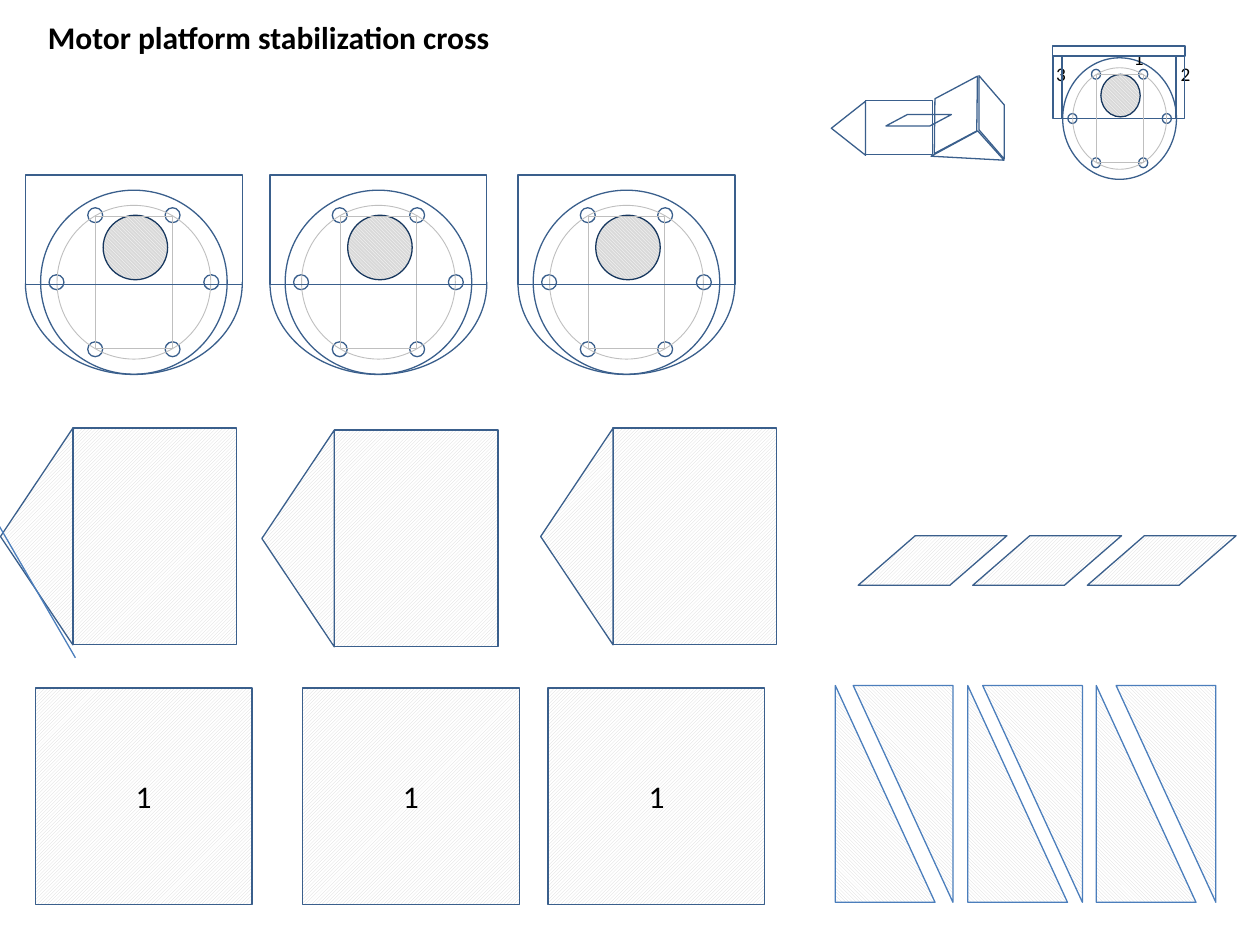
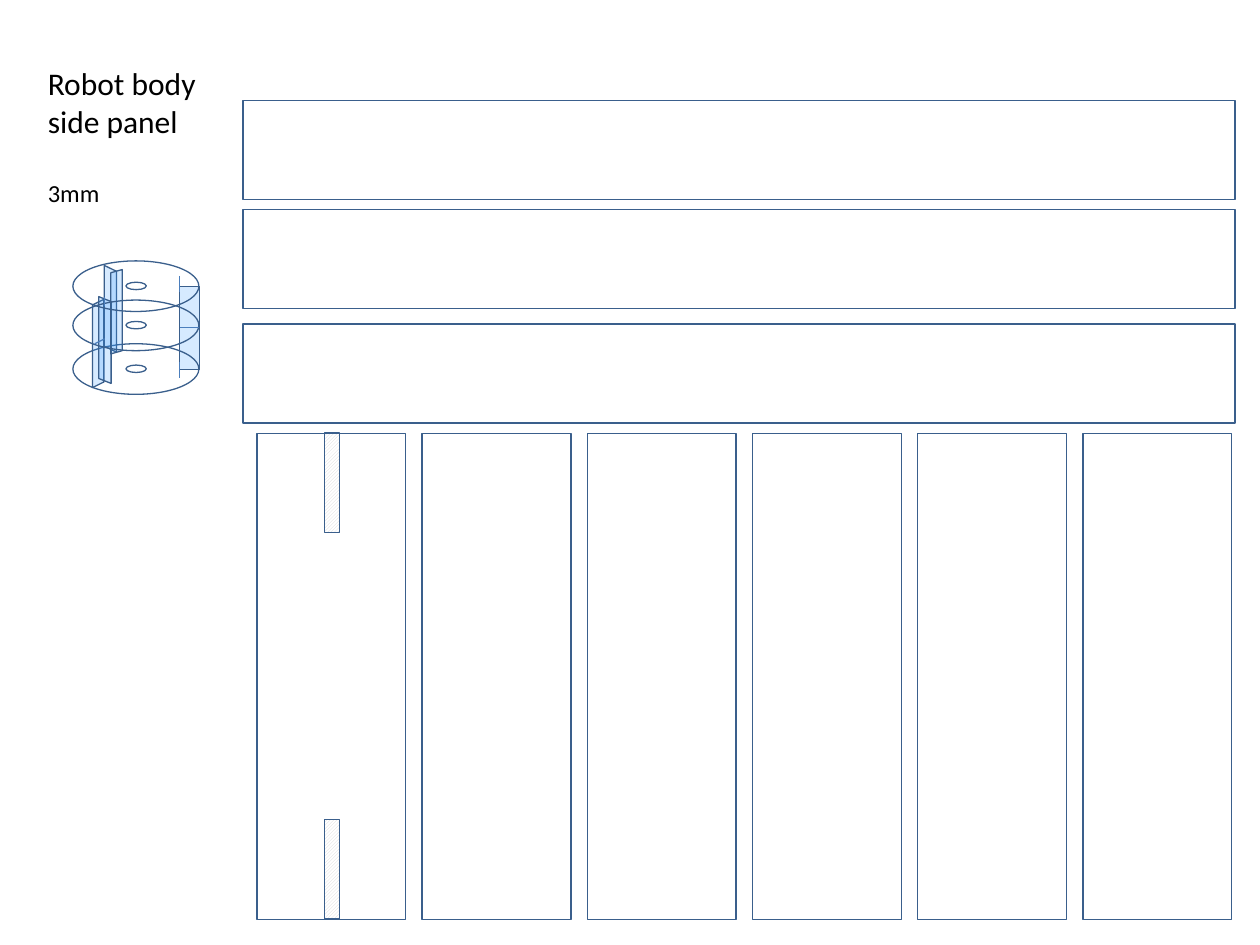
from dataclasses import dataclass, replace
from math import cos, radians, sin
from typing import NamedTuple

from lxml.etree import SubElement
from pptx import Presentation
from pptx.dml.color import RGBColor
from pptx.enum.dml import MSO_PATTERN_TYPE as Pat
from pptx.enum.shapes import MSO_CONNECTOR as Link, MSO_SHAPE as Kind
from pptx.enum.text import MSO_ANCHOR as Anchor, MSO_AUTO_SIZE as Fit, PP_ALIGN as Align
from pptx.oxml.ns import qn
from pptx.util import Cm, Pt

# Shared colours and font
FONT = "Calibri"
INK, EDGE, RULE, RIM, GUIDE = "000000", "3A5F8C", "4B7EBC", "17375E", "BFBFBF"
WHITE, GREY = "FFFFFF", "D9D9D9"


class Hatch(NamedTuple):
    kind: Pat
    fore: str
    back: str


class Tint(NamedTuple):
    tone: str
    alpha: int


UP = Hatch(Pat.LIGHT_UPWARD_DIAGONAL, GREY, WHITE)
DOWN = Hatch(Pat.LIGHT_DOWNWARD_DIAGONAL, GREY, WHITE)
DARK = Hatch(Pat.DARK_DOWNWARD_DIAGONAL, WHITE, GREY)
GLASS = Tint("3399FF", 20)


@dataclass(frozen=True)
class Part:
    """A preset shape; lengths in centimetres."""
    kind: Kind
    x: float
    y: float
    w: float
    h: float
    fill: Hatch | Tint | str | None = None
    line: str = EDGE
    width: float = 0.75
    turn: float = 0
    adj: tuple = ()
    flip: bool = False


# Helpers
def tone(code: str) -> RGBColor:
    return RGBColor.from_string(code)


def paint(shape, fill, line: str, width: float) -> None:
    shape.shadow.inherit = False
    shape.line.color.rgb = tone(line)
    shape.line.width = Pt(width)
    if fill is None:
        shape.fill.background()
    elif isinstance(fill, Hatch):
        shape.fill.patterned()
        shape.fill.pattern = fill.kind
        shape.fill.fore_color.rgb = tone(fill.fore)
        shape.fill.back_color.rgb = tone(fill.back)
    else:
        shape.fill.solid()
        shape.fill.fore_color.rgb = tone(fill.tone if isinstance(fill, Tint) else fill)
        if isinstance(fill, Tint):
            clr = shape.element.spPr.find(qn("a:solidFill"))[0]
            SubElement(clr, qn("a:alpha"), val=str(fill.alpha * 1000))


def draw(slide, part: Part):
    shape = slide.shapes.add_shape(
        part.kind, Cm(part.x), Cm(part.y), Cm(part.w), Cm(part.h))
    for i, value in enumerate(part.adj):
        shape.adjustments[i] = value
    shape.rotation = part.turn
    if part.flip:
        shape.element.spPr.xfrm.set("flipV", "1")
    paint(shape, part.fill, part.line, part.width)
    return shape


def rule(slide, x1: float, y1: float, x2: float, y2: float) -> None:
    line = slide.shapes.add_connector(Link.STRAIGHT, Cm(x1), Cm(y1), Cm(x2), Cm(y2))
    line.line.color.rgb = tone(RULE)
    line.line.width = Pt(0.75)
    SubElement(line.element.spPr, qn("a:effectLst"))


def write(shape, text: str, size: float = 18, bold: bool = False, align=Align.LEFT,
          anchor=Anchor.TOP, wrap: bool = True, more: bool = False, before: float = 0) -> None:
    frame = shape.text_frame
    frame.word_wrap = wrap
    frame.auto_size = Fit.NONE
    frame.vertical_anchor = anchor
    para = frame.add_paragraph() if more else frame.paragraphs[0]
    para.alignment = align
    para.space_before = Pt(before)
    run = para.add_run()
    run.text = text
    run.font.name = FONT
    run.font.size = Pt(size)
    run.font.bold = bold
    run.font.color.rgb = tone(INK)


def start(prs, x: float, y: float, w: float, h: float):
    """Add a title-only slide and place its title."""
    slide = prs.slides.add_slide(prs.slide_layouts[5])
    title = slide.shapes.title
    title.left, title.top, title.width, title.height = Cm(x), Cm(y), Cm(w), Cm(h)
    return slide, title


# Motor face: offsets from its centre, scaled to fit
def motor(slide, cx: float, cy: float, sx: float = 1, sy: float = 1) -> None:
    def place(kind, dx, dy, w, h, **look):
        draw(slide, Part(kind, cx + (dx - w / 2) * sx, cy + (dy - h / 2) * sy,
                         w * sx, h * sy, **look))

    place(Kind.OVAL, 0, 0, 3.76, 3.71)
    for angle in range(0, 360, 60):
        place(Kind.OVAL, 1.56 * cos(radians(angle)), 1.56 * sin(radians(angle)), 0.3, 0.3)
    place(Kind.OVAL, 0.03, -0.7, 1.3, 1.3, fill=DARK, line=RIM)
    place(Kind.OVAL, 0, 0, 3.1, 3.1, line=GUIDE, width=0.5)
    place(Kind.RECTANGLE, 0, 0, 1.55, 2.67, line=GUIDE, width=0.5)


def plate(slide, x: float, y: float, w: float, h: float) -> None:
    draw(slide, Part(Kind.SNIP_2_SAME_RECTANGLE, x, y, w, h, adj=(0, 0)))


# Sketch of the whole cross, seen at an angle
def sketch(slide) -> None:
    para = Kind.PARALLELOGRAM
    draw(slide, Part(para, 18.52, 1.83, 1.5, 0.97, turn=332, adj=(0.547,)))
    draw(slide, Part(para, 19.15, 2.11, 1.68, 0.51, turn=270, adj=(1.155,)))
    pen = slide.shapes.build_freeform(Cm(20.24), Cm(3.23))
    pen.add_line_segments([(Cm(19.71), Cm(2.64)), (Cm(18.77), Cm(3.15))], close=True)
    paint(pen.convert_to_shape(), None, EDGE, 0.75)
    draw(slide, Part(para, 17.86, 2.31, 1.32, 0.23, adj=(1.881,)))
    draw(slide, Part(Kind.RECTANGLE, 17.45, 2.03, 1.35, 1.09))
    draw(slide, Part(Kind.TRAPEZOID, 16.56, 2.24, 1.09, 0.69, turn=270, adj=(0.805,)))


# Small motor with its numbered walls
def guide(slide) -> None:
    plate(slide, 21.41, 0.94, 2.31, 1.45)
    motor(slide, 22.57, 2.39, 0.61, 0.66)
    for mark, x, y in (("1", 22.68, 0.81), ("2", 23.62, 1.14), ("3", 21.11, 1.14)):
        box = slide.shapes.add_textbox(Cm(x), Cm(y), Cm(0.43), Cm(0.48))
        box.text_frame.margin_left = Cm(0.18)
        box.text_frame.margin_right = 0
        write(box, mark, size=11, wrap=False)
    for x in (21.23, 23.7):
        draw(slide, Part(Kind.RECTANGLE, x, 1.13, 0.18, 1.26))
    draw(slide, Part(Kind.RECTANGLE, 21.22, 0.93, 2.67, 0.2, fill=WHITE))


def cross(prs) -> None:
    slide, title = start(prs, 0.71, 0.23, 9.5, 1.02)
    write(title, "Motor platform stabilization cross", bold=True, wrap=False)
    side = 4.37

    # Motor plates
    for cx in (2.7, 7.63, 12.63):
        cy = 5.69
        motor(slide, cx, cy)
        plate(slide, cx - side / 2, cy - 2.16, side, 2.21)
        draw(slide, Part(Kind.ARC, cx - side / 2, cy - 1.8, side, 3.66,
                         adj=(215.41, 108.08)))

    # Panels with a pointed end
    tip = 1.46
    for x, y in ((1.47, 8.63), (6.74, 8.67), (12.36, 8.63)):
        draw(slide, Part(Kind.RECTANGLE, x, y, 3.3, side, fill=UP))
        draw(slide, Part(Kind.ISOSCELES_TRIANGLE, x - (tip + side) / 2, y + (side - tip) / 2,
                         side, tip, fill=UP, turn=270))
    rule(slide, -0.48, 9.8, 1.52, 13.26)

    # Numbered squares
    for x in (0.71, 6.1, 11.05):
        tile = draw(slide, Part(Kind.RECTANGLE, x, 13.87, side, side, fill=UP))
        write(tile, "1", align=Align.CENTER, anchor=Anchor.MIDDLE)

    # Slanted pieces and wedges
    for i in range(3):
        draw(slide, Part(Kind.PARALLELOGRAM, 17.3 + 2.31 * i, 10.8, 3, 1,
                         fill=UP, adj=(1.152,)))
    for left, right in ((16.84, 17.2), (19.51, 19.81), (22.1, 22.5)):
        wedge = Part(Kind.RIGHT_TRIANGLE, left, 13.82, 2.01, side, fill=DOWN, line=RULE)
        draw(slide, wedge)
        draw(slide, replace(wedge, x=right, turn=180))

    sketch(slide)
    guide(slide)


# Round body with three discs and glass ribs
def tower(slide) -> None:
    def disc(y):
        draw(slide, Part(Kind.OVAL, 1.47, y, 2.54, 1.02))
        draw(slide, Part(Kind.OVAL, 2.54, y + 0.43, 0.41, 0.15, fill=WHITE))

    draw(slide, Part(Kind.RECTANGLE, 3.62, 5.77, 0.4, 1.68, fill=GLASS))
    disc(6.93)
    for x, y, w, h, slant, flip in (
            (1.35, 6.1, 1.75, 0.25, 0.484, False), (1.09, 6.81, 1.78, 0.23, 0.494, True),
            (1.24, 6.73, 1.75, 0.25, 0.4, False), (1.5, 6.17, 1.7, 0.23, 0.28, True)):
        draw(slide, Part(Kind.PARALLELOGRAM, x, y, w, h, fill=GLASS, turn=90,
                         adj=(slant,), flip=flip))
    disc(6.05)
    disc(5.26)
    for ends in ((3.62, 5.56, 3.62, 5.89), (3.62, 7.29, 3.62, 7.62), (4.01, 6.6, 3.62, 6.6),
                 (2.11, 6.83, 1.91, 6.93), (2.11, 6.17, 2.11, 5.99)):
        rule(slide, *ends)


def body(prs) -> None:
    slide, title = start(prs, 0.71, 1.17, 7.01, 3.18)
    write(title, "Robot body")
    write(title, "side panel", more=True)
    write(title, "3mm", size=14, more=True, before=22)
    tower(slide)

    # Uprights, long bands and slots
    for i in range(6):
        draw(slide, Part(Kind.RECTANGLE, 5.18 + 3.33 * i, 8.74, 3, 9.8))
    for y in (2.02, 4.22, 6.53):
        draw(slide, Part(Kind.RECTANGLE, 4.9, y, 20, 2))
    for y in (8.73, 16.52):
        draw(slide, Part(Kind.RECTANGLE, 6.54, y, 0.3, 2.01, fill=UP))


def main() -> None:
    prs = Presentation()
    prs.slide_width, prs.slide_height = Cm(25.4), Cm(19.05)
    cross(prs)
    body(prs)
    prs.save("out.pptx")


if __name__ == "__main__":
    main()
